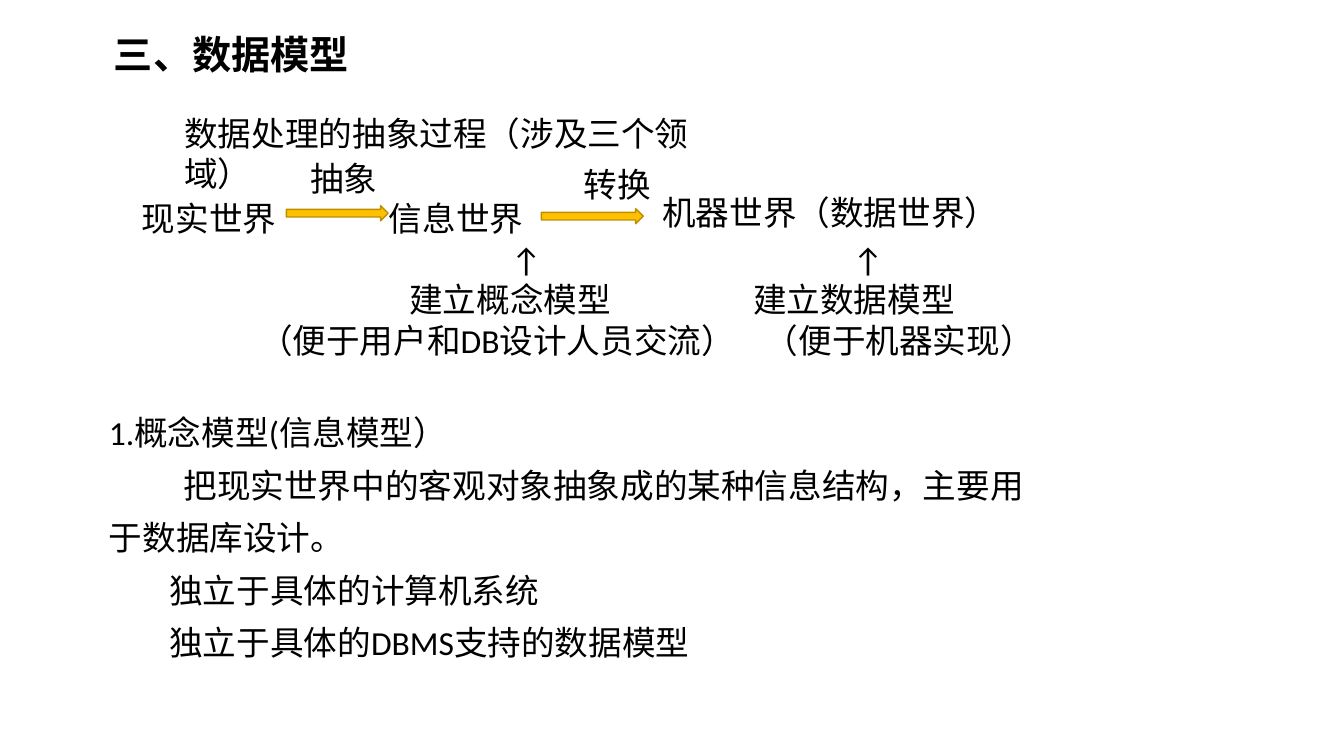
from lxml import etree
from pptx import Presentation
from pptx.dml.color import RGBColor
from pptx.enum import shapes, text
from pptx.oxml.ns import qn
from pptx.util import Inches, Pt

COLORS = {"text": "000000", "arrow": "FFC000", "arrow_line": "BD8E00"}
BODY_FONT, TITLE_FONT = "Calibri", "Noto Sans CJK SC"
ROW_H, LINE_STEP = 0.5, 0.4


def rgb(name):
    return RGBColor.from_string(COLORS[name])


def write(p, words, size=24, font=BODY_FONT, bold=False):
    r = p.add_run()
    r.text = words
    r.font.size, r.font.name, r.font.bold = Pt(size), font, bold
    r.font.color.rgb = rgb("text")
    ea = etree.SubElement(r._r.get_or_add_rPr(), qn("a:ea"))
    ea.set("typeface", TITLE_FONT)


def place(sp, x, y, w, h):
    sp.left, sp.top, sp.width, sp.height = map(Inches, (x, y, w, h))
    tf = sp.text_frame
    tf.word_wrap = True
    tf.auto_size = text.MSO_AUTO_SIZE.NONE
    tf.vertical_anchor = text.MSO_ANCHOR.TOP
    return tf


def add_label(s, words, x, y, w, align=text.PP_ALIGN.LEFT):
    sp = s.shapes.add_textbox(0, 0, 0, 0)
    p = place(sp, x, y, w, ROW_H).paragraphs[0]
    p.alignment = align
    write(p, words)


def add_title(s, x, y, w, h):
    p = place(s.shapes.title, x, y, w, h).paragraphs[0]
    p.alignment = text.PP_ALIGN.LEFT
    p.line_spacing = 0.9
    write(p, "三、数据模型", 28, TITLE_FONT, True)


def add_process(s, x, y):
    """Three worlds in a row, joined by two named block arrows."""
    add_label(s, "数据处理的抽象过程（涉及三个领域）", x + 0.42, y, 5.58)
    worlds = [("现实世界", 0, 0.84, 1.6), ("信息世界", 2.45, 0.84, 1.6),
              ("机器世界（数据世界）", 5.16, 0.78, 3.8)]
    for words, dx, dy, w in worlds:
        add_label(s, words, x + dx, y + dy, w)
    steps = [("抽象", 1.67, 0.45, 1.53, 0.97), ("转换", 4.38, 0.51, 4.06, 1.0)]
    for words, dx, dy, arrow_dx, arrow_dy in steps:
        add_label(s, words, x + dx, y + dy, 0.9)
        sp = s.shapes.add_shape(
            shapes.MSO_SHAPE.RIGHT_ARROW, Inches(x + arrow_dx),
            Inches(y + arrow_dy), Inches(1.01), Inches(0.15))
        sp.shadow.inherit = False
        sp.fill.solid()
        sp.fill.fore_color.rgb = rgb("arrow")
        sp.line.color.rgb = rgb("arrow_line")
        sp.line.width = Pt(1)


def add_model_note(s, y, lines):
    """Stacked lines, each centred on its own x."""
    for i, (words, center, w) in enumerate(lines):
        add_label(s, words, center - w / 2, y + i * LINE_STEP, w,
                  text.PP_ALIGN.CENTER)


def add_concept_list(s, x, y, w, h):
    tf = place(s.placeholders[1], x, y, w, h)
    items = [("1.概念模型(信息模型）", 0),
             ("把现实世界中的客观对象抽象成的某种信息结构，主要用于数据库设计。", 0.74),
             ("独立于具体的计算机系统", 0.6),
             ("独立于具体的DBMS支持的数据模型", 0.6)]
    for i, (words, indent) in enumerate(items):
        p = tf.paragraphs[0] if i == 0 else tf.add_paragraph()
        p.line_spacing = 1.3
        p.space_before = Pt(0)
        pPr = p._p.get_or_add_pPr()
        pPr.set("marL", "0")
        pPr.set("indent", str(Inches(indent)))
        etree.SubElement(pPr, qn("a:buNone"))
        write(p, words)


def main():
    prs = Presentation()
    prs.slide_width, prs.slide_height = Inches(13.33), Inches(7.5)
    s = prs.slides.add_slide(prs.slide_layouts[1])
    add_title(s, 1.03, 0.3, 3.58, 0.67)
    add_process(s, 1.31, 1.07)
    add_model_note(s, 2.32, [("↑", 5.22, 0.6), ("建立概念模型", 5.06, 2.4),
                             ("（便于用户和DB设计人员交流）", 4.93, 5.4)])
    add_model_note(s, 2.32, [("↑", 8.61, 0.6), ("建立数据模型", 8.47, 2.4),
                             ("（便于机器实现）", 8.92, 3.2)])
    add_concept_list(s, 0.98, 3.92, 9.42, 2.74)
    prs.save("out.pptx")


if __name__ == "__main__":
    main()
